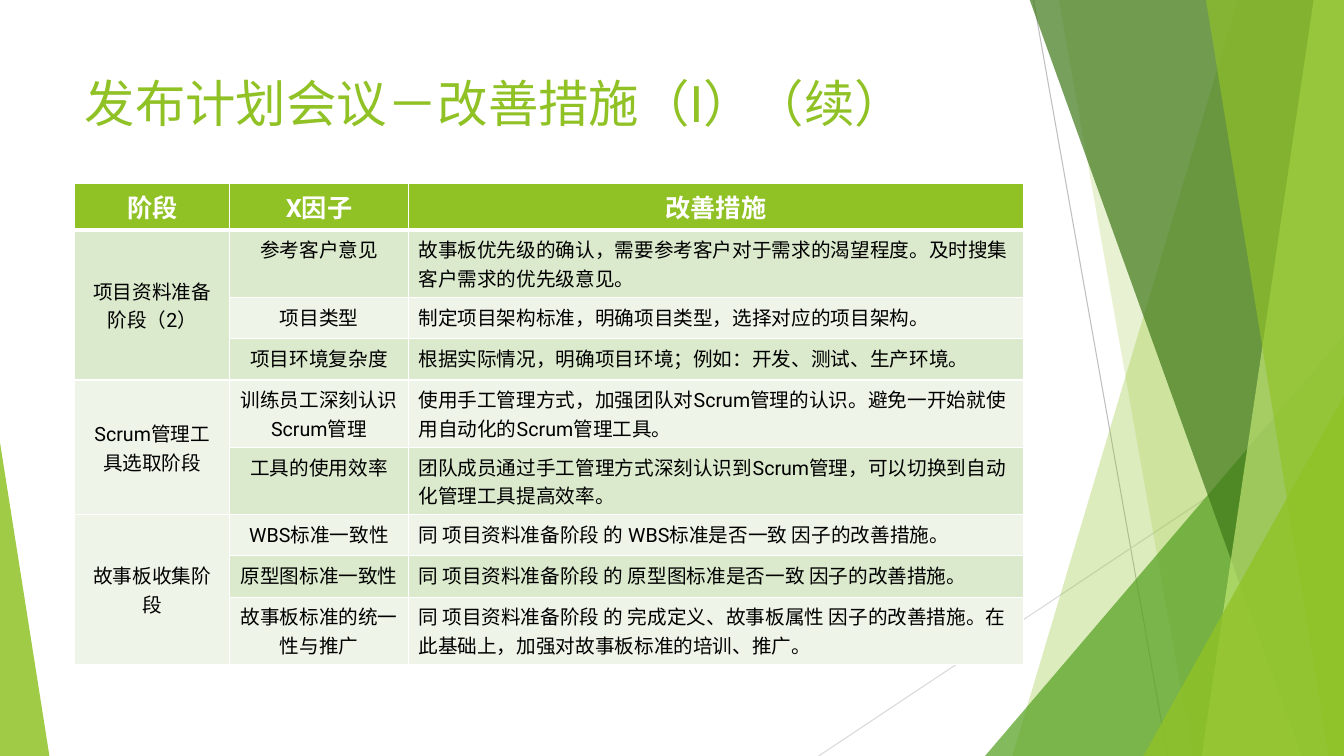
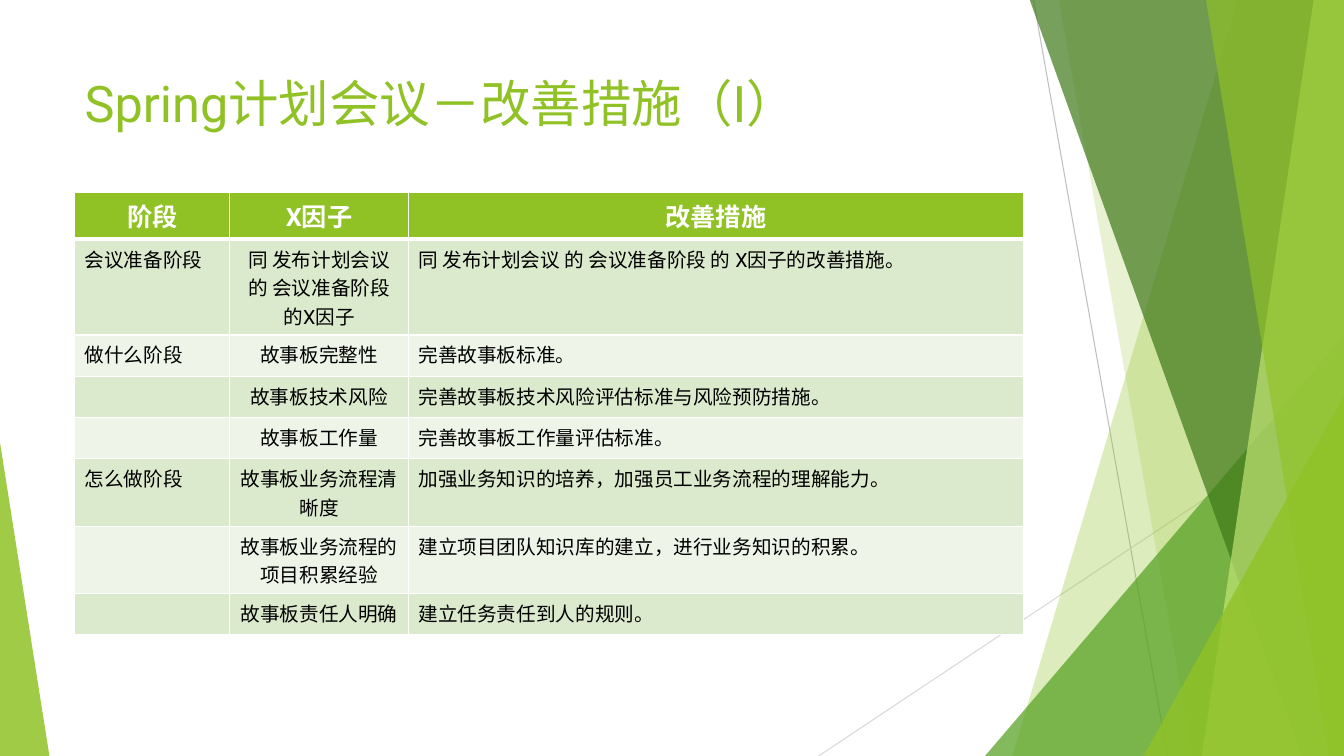
from lxml import etree
from pptx import Presentation
from pptx.dml.color import RGBColor
from pptx.enum.shapes import MSO_CONNECTOR, MSO_SHAPE
from pptx.enum.text import MSO_ANCHOR, MSO_AUTO_SIZE, PP_ALIGN
from pptx.oxml.ns import qn
from pptx.util import Inches, Pt

TRIANGLE = MSO_SHAPE.ISOSCELES_TRIANGLE
STRAIGHT = MSO_CONNECTOR.STRAIGHT
LEFT, CENTER = PP_ALIGN.LEFT, PP_ALIGN.CENTER
TOP, MIDDLE = MSO_ANCHOR.TOP, MSO_ANCHOR.MIDDLE
NO_AUTOFIT = MSO_AUTO_SIZE.NONE

WIDTH, HEIGHT = 13.33, 7.5
FONT = "Roboto"
COLORS = {
    "accent": "90C226", "green": "54A021", "dark": "3F7819", "pale": "C0E474",
    "band_odd": "DBE9CD", "band_even": "EEF4E8",
    "white": "FFFFFF", "text": "000000",
    "line_dark": "BFBFBF", "line_light": "D9D9D9",
}

# Content: a row with an empty stage continues the stage above it
HEADER = ("阶段", "X因子", "改善措施")
SLIDES = [
    {
        "title": "发布计划会议－改善措施（I）（续）",
        "table_top": 1.82,
        "merge_stages": True,
        "rows": [
            ("项目资料准备阶段（2）", "参考客户意见",
             "故事板优先级的确认，需要参考客户对于需求的渴望程度。及时搜集客户需求的优先级意见。"),
            ("", "项目类型", "制定项目架构标准，明确项目类型，选择对应的项目架构。"),
            ("", "项目环境复杂度", "根据实际情况，明确项目环境；例如：开发、测试、生产环境。"),
            ("Scrum管理工具选取阶段", "训练员工深刻认识Scrum管理",
             "使用手工管理方式，加强团队对Scrum管理的认识。避免一开始就使用自动化的Scrum管理工具。"),
            ("", "工具的使用效率",
             "团队成员通过手工管理方式深刻认识到Scrum管理，可以切换到自动化管理工具提高效率。"),
            ("故事板收集阶段", "WBS标准一致性",
             "同 项目资料准备阶段 的 WBS标准是否一致 因子的改善措施。"),
            ("", "原型图标准一致性",
             "同 项目资料准备阶段 的 原型图标准是否一致 因子的改善措施。"),
            ("", "故事板标准的统一性与推广",
             "同 项目资料准备阶段 的 完成定义、故事板属性 因子的改善措施。在此基础上，加强对故事板标准的培训、推广。"),
        ],
    },
    {
        "title": "Spring计划会议－改善措施（I）",
        "table_top": 1.91,
        "merge_stages": False,
        "rows": [
            ("会议准备阶段", "同 发布计划会议 的 会议准备阶段的X因子",
             "同 发布计划会议 的 会议准备阶段 的 X因子的改善措施。"),
            ("做什么阶段", "故事板完整性", "完善故事板标准。"),
            ("", "故事板技术风险", "完善故事板技术风险评估标准与风险预防措施。"),
            ("", "故事板工作量", "完善故事板工作量评估标准。"),
            ("怎么做阶段", "故事板业务流程清晰度",
             "加强业务知识的培养，加强员工业务流程的理解能力。"),
            ("", "故事板业务流程的项目积累经验",
             "建立项目团队知识库的建立，进行业务知识的积累。"),
            ("", "故事板责任人明确", "建立任务责任到人的规则。"),
        ],
    },
]

# Shared geometry, in inches
MARGIN, CONTENT_WIDTH = 0.74, 9.4
TITLE_TOP, TITLE_HEIGHT = 0.67, 1.44
COLUMNS = (1.54, 1.77, 6.1)
ROW_HEIGHT = 0.41
BLEED_TOP = -0.01

# Thin lines: start x, start y, end x, end y, color
LINES = [
    (10.25, 0, 11.58, HEIGHT, "line_dark"),
    (WIDTH, 4.03, 8.12, HEIGHT, "line_light"),
]
# Facets from back to front. A slice runs from its slanted edge (top x, bottom x)
# to the right side; a triangle (left, top, width, apex) stands on the bottom.
FACETS = [
    ("slice", (12.28, 10.04), "accent", 30),
    ("slice", (10.5, 11.83), "accent", 20),
    ("triangle", (9.77, 3.33, 3.56, 1), "green", 72),
    ("slice", (10.21, 12.91), "dark", 70),
    ("slice", (13.03, 11.92), "pale", 70),
    ("slice", (11.96, 13.18), "accent", 65),
    ("triangle", (11.34, 3.93, 1.99, 1), "accent", 80),
    ("triangle", (0, 4.39, 0.49, 0), "accent", 85),
]


def rgb(name):
    return RGBColor.from_string(COLORS[name])


def style_text(text_frame, size, color, bold=False, align=LEFT):
    for paragraph in text_frame.paragraphs:
        paragraph.alignment = align
        for run in paragraph.runs:
            run.font.name = FONT
            run.font.size = Pt(size)
            run.font.bold = bold
            run.font.color.rgb = rgb(color)


def add_facet(shapes, kind, place, color, opacity):
    if kind == "slice":
        top_x, bottom_x = place
        corners = [(top_x, BLEED_TOP), (WIDTH, BLEED_TOP), (WIDTH, HEIGHT), (bottom_x, HEIGHT)]
        points = [(Inches(x), Inches(y)) for x, y in corners]
        builder = shapes.build_freeform(*points[0])
        builder.add_line_segments(points[1:], close=True)
        shape = builder.convert_to_shape()
    else:
        left, top, width, apex = place
        shape = shapes.add_shape(TRIANGLE, Inches(left), Inches(top),
                                 Inches(width), Inches(HEIGHT - top))
        shape.adjustments[0] = apex
    shape.shadow.inherit = False
    shape.line.fill.background()
    shape.fill.solid()
    shape.fill.fore_color.rgb = rgb(color)
    fill_color = shape.element.find(".//" + qn("a:srgbClr"))
    etree.SubElement(fill_color, qn("a:alpha"), val=str(opacity * 1000))


def add_backdrop(slide, layout):
    """Draw the faceted backdrop as a group and hand it to the layout."""
    group = slide.shapes.add_group_shape()
    for x1, y1, x2, y2, color in LINES:
        line = group.shapes.add_connector(STRAIGHT, Inches(x1), Inches(y1), Inches(x2), Inches(y2))
        line.line.color.rgb = rgb(color)
        line.line.width = Pt(0.75)
        etree.SubElement(line.element.spPr, qn("a:effectLst"))
    for facet in FACETS:
        add_facet(group.shapes, *facet)
    layout.shapes.element.insert(2, group.element)


def set_borders(cell, widths):
    """Draw white borders; widths are left, right, top, bottom in points."""
    properties = cell._tc.get_or_add_tcPr()
    for index, (side, width) in enumerate(zip("LRTB", widths)):
        border = etree.Element(qn("a:ln" + side), w=str(Pt(width)))
        fill = etree.SubElement(border, qn("a:solidFill"))
        etree.SubElement(fill, qn("a:srgbClr"), val=COLORS["white"])
        properties.insert(index, border)


def add_title(slide, text):
    title = slide.shapes.title
    title.left, title.top = Inches(MARGIN), Inches(TITLE_TOP)
    title.width, title.height = Inches(CONTENT_WIDTH), Inches(TITLE_HEIGHT)
    title.text_frame.text = text
    title.text_frame.word_wrap = True
    title.text_frame.auto_size = NO_AUTOFIT
    title.text_frame.vertical_anchor = TOP
    style_text(title.text_frame, 36, "accent")


def add_measures_table(slide, top, body, merge_stages):
    rows = [HEADER, *body]
    frame = slide.shapes.add_table(len(rows), len(COLUMNS), Inches(MARGIN), Inches(top),
                                   Inches(CONTENT_WIDTH), Inches(ROW_HEIGHT * len(rows)))
    table = frame.table
    for column, width in zip(table.columns, COLUMNS):
        column.width = Inches(width)
    stage_align = CENTER if merge_stages else LEFT
    for r, texts in enumerate(rows):
        table.rows[r].height = Inches(ROW_HEIGHT)
        band = "accent" if r == 0 else "band_odd" if r % 2 else "band_even"
        aligns = (CENTER,) * 3 if r == 0 else (stage_align, CENTER, LEFT)
        for c, text in enumerate(texts):
            cell = table.cell(r, c)
            cell.fill.solid()
            cell.fill.fore_color.rgb = rgb(band)
            set_borders(cell, (1, 1, 3 if r == 1 else 1, 3 if r == 0 else 1))
            if text:
                cell.text_frame.text = text
                size, color = (18, "white") if r == 0 else (14, "text")
                style_text(cell.text_frame, size, color, r == 0, aligns[c])
    if merge_stages:
        starts = [r for r, texts in enumerate(rows) if r and texts[0]]
        for start, following in zip(starts, starts[1:] + [len(rows)]):
            table.cell(start, 0).merge(table.cell(following - 1, 0))
            table.cell(start, 0).vertical_anchor = MIDDLE


def main():
    presentation = Presentation()
    presentation.slide_width, presentation.slide_height = Inches(WIDTH), Inches(HEIGHT)
    layout = presentation.slide_layouts.get_by_name("Title Only")
    for number, content in enumerate(SLIDES):
        slide = presentation.slides.add_slide(layout)
        if number == 0:
            add_backdrop(slide, layout)
        add_title(slide, content["title"])
        add_measures_table(slide, content["table_top"], content["rows"], content["merge_stages"])
    presentation.save("out.pptx")


if __name__ == "__main__":
    main()
